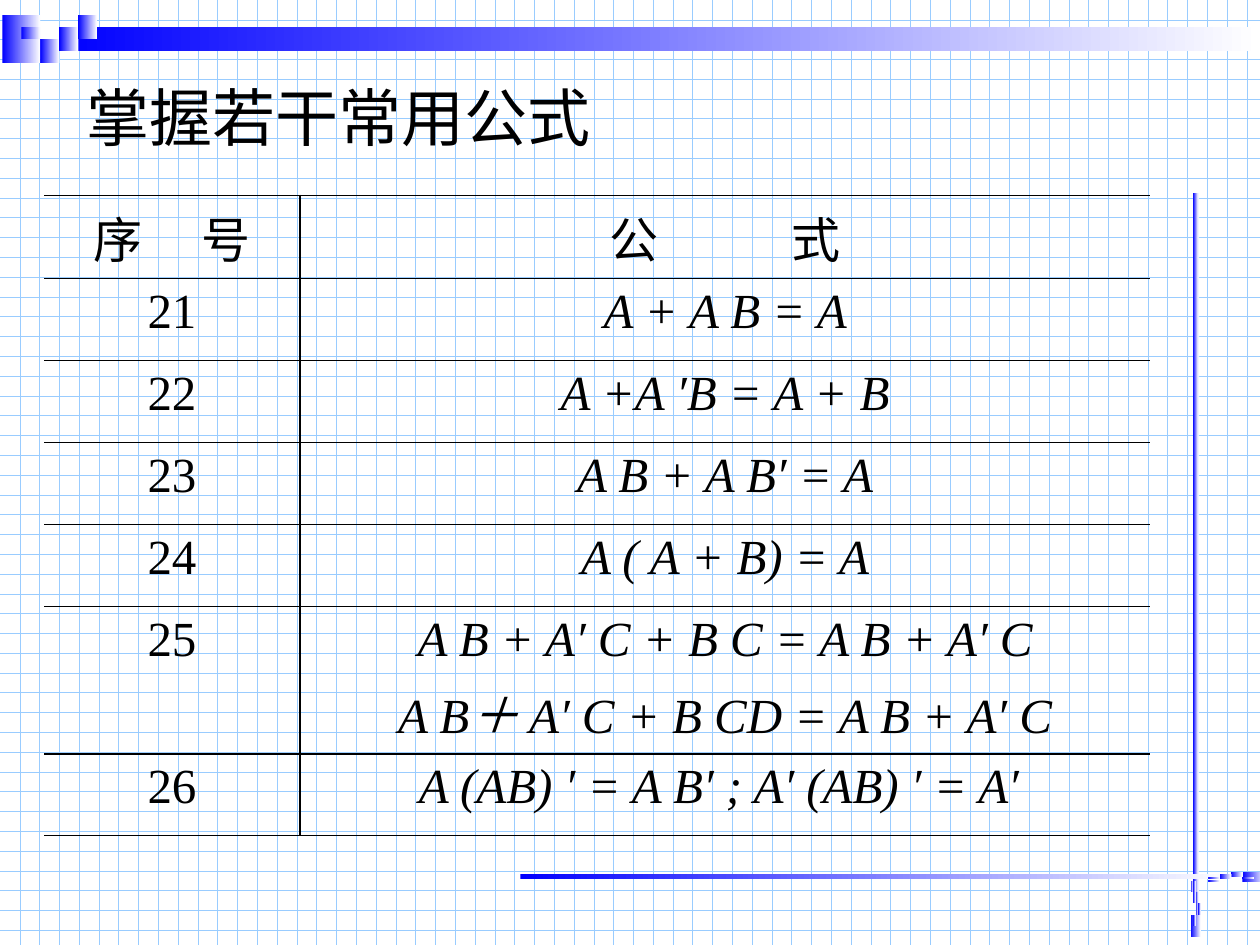
import math

import pptx
import pptx.dml.color
import pptx.enum.dml
import pptx.enum.shapes
import pptx.enum.text
import pptx.oxml
import pptx.oxml.ns
import pptx.util

BLUE = pptx.dml.color.RGBColor(0x00, 0x00, 0xFF)
SKY = pptx.dml.color.RGBColor(0x99, 0xCC, 0xFF)
WHITE = pptx.dml.color.RGBColor(0xFF, 0xFF, 0xFF)
BLACK = pptx.dml.color.RGBColor(0x00, 0x00, 0x00)
FONT = "Times New Roman"
Inches = pptx.util.Inches

deck = pptx.Presentation()
deck.slide_width, deck.slide_height = Inches(10), Inches(7.5)
page = deck.slides.add_slide(deck.slide_layouts[5])

# Squared-paper background
paper = page.background.fill
paper.patterned()
paper.pattern = pptx.enum.dml.MSO_PATTERN.DOTTED_GRID
paper.fore_color.rgb = SKY
paper.back_color.rgb = WHITE

# Ornaments: one motif of a block, a bar and small cells, turned three ways.
# Each is origin x and y, cell width and height, bar length, rotation.
ORNAMENTS = [
    (0.02, 0.12, 0.15, 0.095, 9.53, 0),
    (9.45, 7.44, 0.09, 0.02, 5.64, 270),
    (10.04, 7.0, 0.09, 0.02, 5.64, 180),
]
SMALL_CELLS = [(3, 1), (4, 0), (4, 1), (2, 2), (1, 1), (3, 2), (2, 3)]

for left, top, cell_width, cell_height, bar_length, turn in ORNAMENTS:
    group = page.shapes.add_group_shape()
    cosine, sine = math.cos(math.radians(turn)), math.sin(math.radians(turn))
    pieces = [(0, 0, 2, 4), (3, 1, bar_length / cell_width, 2)]
    pieces += [(column, row, 1, 1) for column, row in SMALL_CELLS]
    for column, row, columns, rows in pieces:
        width, height = columns * cell_width, rows * cell_height
        across = column * cell_width + width / 2
        down = row * cell_height + height / 2
        center_x = left + across * cosine - down * sine
        center_y = top + across * sine + down * cosine
        piece = group.shapes.add_shape(
            pptx.enum.shapes.MSO_SHAPE.RECTANGLE,
            Inches(center_x - width / 2), Inches(center_y - height / 2),
            Inches(width), Inches(height))
        piece.rotation = turn
        piece.shadow.inherit = False
        piece.line.fill.background()
        piece.fill.gradient()
        piece.fill.gradient_angle = 0
        for stop, color in zip(piece.fill.gradient_stops, (BLUE, WHITE)):
            stop.color.rgb = color
        # The fade runs left to right whichever way the piece is turned
        gradient = piece.element.spPr.find(pptx.oxml.ns.qn("a:gradFill"))
        gradient.set("rotWithShape", "0")

# Title
title = page.shapes.title
title.left, title.top = Inches(0.59), Inches(0.44)
title.width, title.height = Inches(9), Inches(0.97)
title.text_frame.text = "掌握若干常用公式"
title.text_frame.vertical_anchor = pptx.enum.text.MSO_ANCHOR.MIDDLE
para = title.text_frame.paragraphs[0]
para.alignment = pptx.enum.text.PP_ALIGN.LEFT
para.font.name, para.font.size = FONT, pptx.util.Pt(36)
para.font.color.rgb = BLACK

# Formula table
HEADINGS = [("序", "号", 14), ("公", "式", 35)]  # last: letter spacing, points
FORMULAS = [
    ("21", "A + A B = A"),
    ("22", "A +A ′B = A + B"),
    ("23", "A B + A B′ = A"),
    ("24", "A ( A + B) = A"),
    ("25", "A B + A′ C + B C = A B + A′ C\nA B＋ A′ C + B CD = A B + A′ C"),
    ("26", "A (AB) ′ = A B′ ; A′ (AB) ′ = A′ "),
]
ROW_HEIGHTS = [0.65] * 5 + [1.13, 0.65]

table = page.shapes.add_table(
    len(ROW_HEIGHTS), 2, Inches(0.35), Inches(1.55),
    Inches(8.78), Inches(sum(ROW_HEIGHTS))).table
table.first_row = table.horz_banding = False
for column, width in zip(table.columns, (2.03, 6.75)):
    column.width = Inches(width)
for row, height in zip(table.rows, ROW_HEIGHTS):
    row.height = Inches(height)

for index, (first, last, spacing) in enumerate(HEADINGS):
    para = table.cell(0, index).text_frame.paragraphs[0]
    span = para.add_run()
    span.text = first + " "
    span._r.get_or_add_rPr().set("spc", str(spacing * 100))
    para.add_run().text = last

for row_index, texts in enumerate(FORMULAS, start=1):
    for column_index, text in enumerate(texts):
        table.cell(row_index, column_index).text_frame.text = text

# Cell text and rules: open at both sides, one line between the columns
for row_index in range(len(ROW_HEIGHTS)):
    for column_index in range(2):
        cell = table.cell(row_index, column_index)
        cell.fill.background()
        for number, para in enumerate(cell.text_frame.paragraphs):
            para.alignment = pptx.enum.text.PP_ALIGN.CENTER
            para.font.name, para.font.size = FONT, pptx.util.Pt(28)
            para.font.color.rgb = BLACK
            para.font.italic = row_index > 0 and column_index == 1
            if number:
                para.space_before = pptx.util.Pt(5.6)
        ruled = {"L": column_index == 1, "R": column_index == 0,
                 "T": True, "B": True}
        for position, (side, visible) in enumerate(ruled.items()):
            paint = (f'<a:solidFill><a:srgbClr val="{BLACK}"/></a:solidFill>'
                     if visible else "<a:noFill/>")
            border = pptx.oxml.parse_xml(
                f'<a:ln{side} {pptx.oxml.ns.nsdecls("a")} w="12700">'
                f"{paint}</a:ln{side}>")
            cell._tc.get_or_add_tcPr().insert(position, border)

deck.save("out.pptx")
